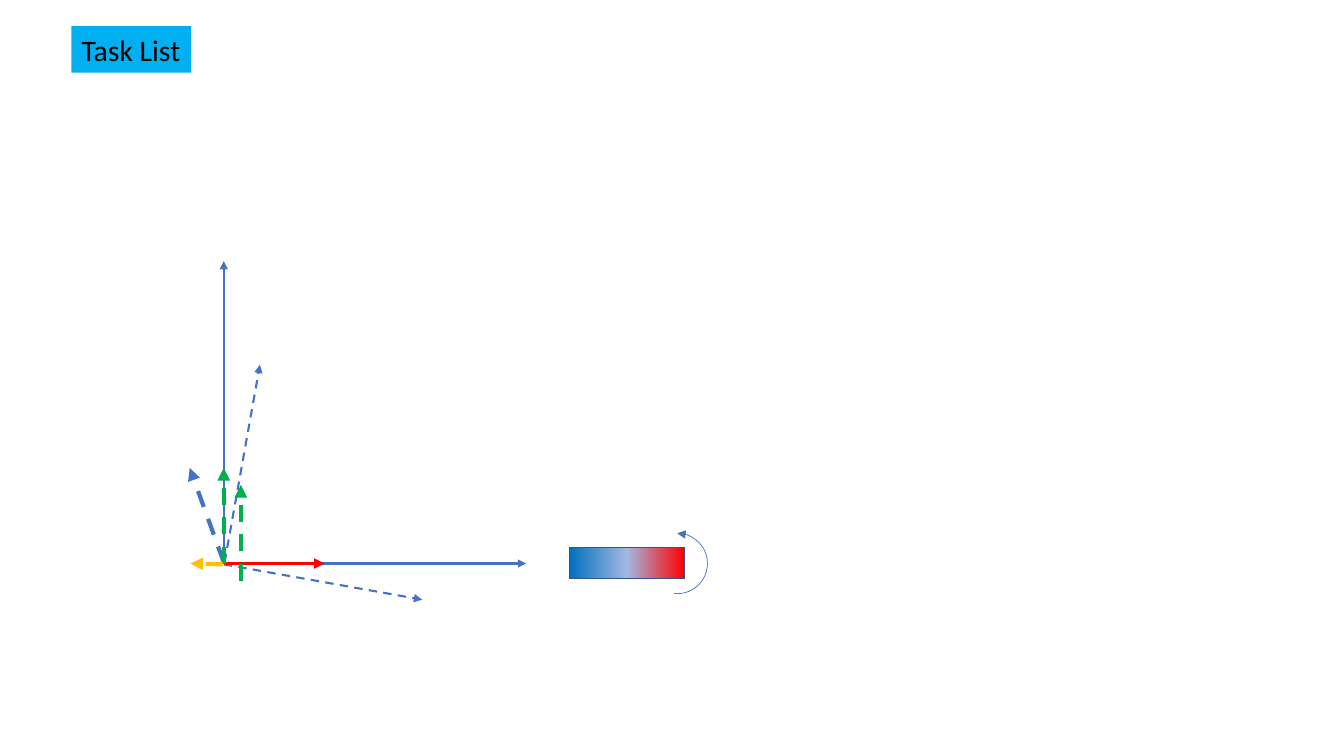
"""Build the Task List slide with its axes, vectors and rotating magnet."""
from copy import deepcopy

from lxml.etree import SubElement
from pptx import Presentation
from pptx.dml.color import RGBColor
from pptx.enum.dml import MSO_LINE
from pptx.enum.shapes import MSO_CONNECTOR, MSO_SHAPE
from pptx.enum.text import MSO_ANCHOR, MSO_AUTO_SIZE, PP_ALIGN
from pptx.oxml.ns import qn
from pptx.util import Cm, Pt

COLORS = {
    "heading": "00B0F0", "text": "000000", "axis": "4472C4",
    "red": "FF0000", "green": "00B050", "amber": "FFC000",
    "magnet_edge": "325491", "magnet_left": "0070C0", "magnet_middle": "A2B8E1",
}


def write_text(frame, text, *, size, color, font="Calibri", align=PP_ALIGN.LEFT):
    frame.word_wrap = False
    frame.auto_size = MSO_AUTO_SIZE.NONE
    frame.vertical_anchor = MSO_ANCHOR.MIDDLE
    frame.text = text
    paragraph = frame.paragraphs[0]
    paragraph.alignment = align
    run_font = paragraph.runs[0].font
    run_font.name, run_font.size = font, Pt(size)
    run_font.color.rgb = RGBColor.from_string(COLORS[color])


def style_line(shape, color, width, arrow=None):
    shape.line.color.rgb = RGBColor.from_string(COLORS[color])
    shape.line.width = Pt(width)
    if arrow:
        SubElement(shape.line._get_or_add_ln(), qn(f"a:{arrow}"), type="triangle")


prs = Presentation()
prs.slide_width, prs.slide_height = Cm(33.87), Cm(19.05)
slide = prs.slides.add_slide(prs.slide_layouts[5])

heading = slide.shapes.title
heading.left, heading.top = Cm(1.8), Cm(0.66)
heading.width, heading.height = Cm(3.02), Cm(1.17)
heading.fill.solid()
heading.fill.fore_color.rgb = RGBColor.from_string(COLORS["heading"])
write_text(heading.text_frame, "Task List", size=21.2, color="text")

magnet = slide.shapes.add_shape(MSO_SHAPE.RECTANGLE, Cm(14.35), Cm(13.79), Cm(2.9), Cm(0.79))
magnet.shadow.inherit = False
magnet.fill.gradient()
magnet.fill.gradient_angle = 0
first_stop = next(magnet._element.spPr.iter(qn("a:gs")))
first_stop.addnext(deepcopy(first_stop))
magnet_stops = zip(magnet.fill.gradient_stops, (0, 0.5, 1), ("magnet_left", "magnet_middle", "red"))
for stop, position, color in magnet_stops:
    stop.position = position
    stop.color.rgb = RGBColor.from_string(COLORS[color])
style_line(magnet, "magnet_edge", 1)

origin = (5.64, 14.2)
axes = [
    (origin, (13.26, 14.2), "axis", 1.5, False),
    (origin, (5.64, 6.58), "axis", 1.5, False),
    ((5.64, 14.22), (10.64, 15.11), "axis", 1.5, True),
    ((5.66, 14.17), (6.55, 9.19), "axis", 1.5, True),
]
vectors = [
    ((5.64, 14.17), (4.78, 11.79), "axis", 3, True),
    (origin, (8.18, 14.2), "red", 2.5, False),
    (origin, (5.64, 11.79), "green", 3, True),
    ((5.61, 14.22), (4.8, 14.2), "amber", 3, True),
    ((6.07, 14.63), (6.07, 12.22), "green", 3, True),
]
for start, tip, color, width, dashed in axes + vectors:
    arrow = slide.shapes.add_connector(MSO_CONNECTOR.STRAIGHT, *map(Cm, start + tip))
    if dashed:
        arrow.line.dash_style = MSO_LINE.DASH
    style_line(arrow, color, width, "tailEnd")
    SubElement(arrow._element.spPr, qn("a:effectLst"))

rotation = slide.shapes.add_shape(MSO_SHAPE.ARC, Cm(16.31), Cm(13.44), Cm(1.52), Cm(1.52))
rotation.adjustments[0] = 162
rotation.adjustments[1] = 57.44
rotation.shadow.inherit = False
rotation.fill.background()
style_line(rotation, "axis", 0.5, "headEnd")

prs.save("out.pptx")
